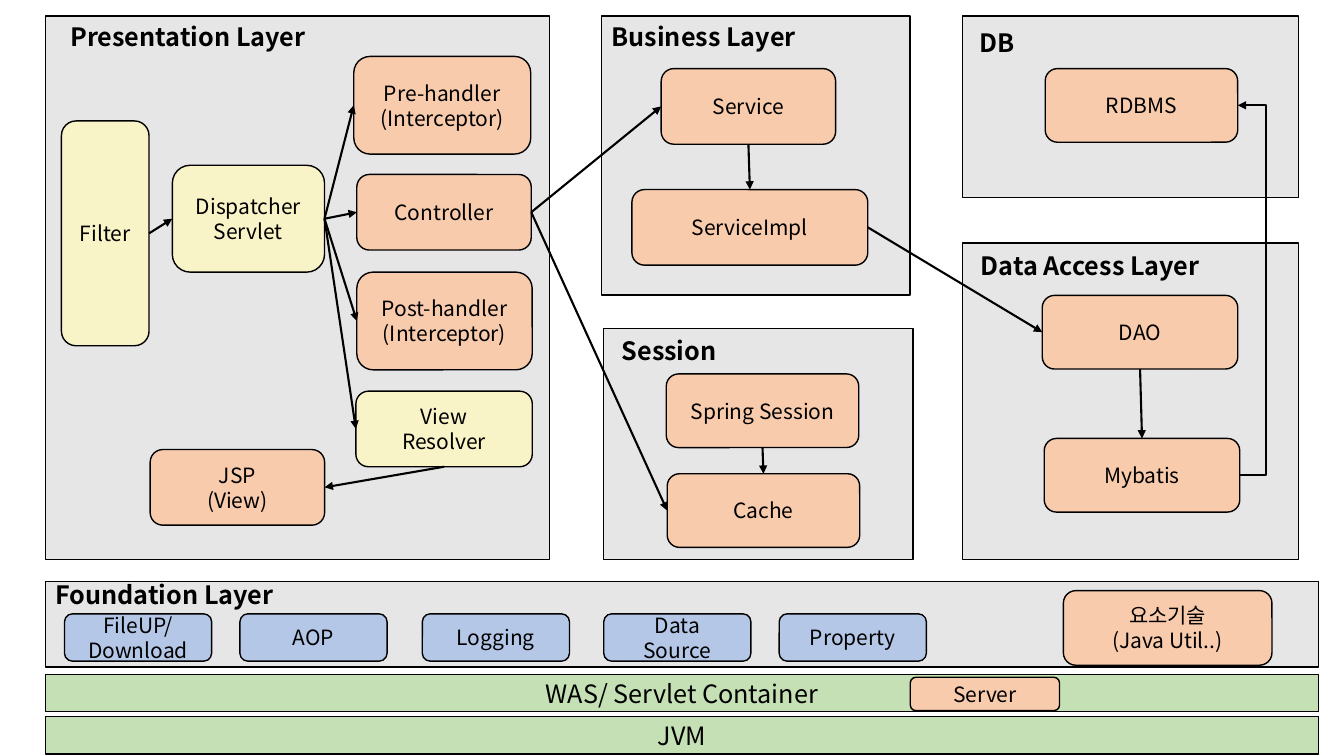
from dataclasses import dataclass
from typing import NamedTuple

from lxml.etree import SubElement
from pptx import Presentation
from pptx.dml.color import RGBColor
from pptx.enum.shapes import MSO_CONNECTOR, MSO_SHAPE
from pptx.enum.text import MSO_ANCHOR, PP_ALIGN
from pptx.oxml.ns import qn
from pptx.shapes.autoshape import Shape
from pptx.shapes.connector import Connector
from pptx.slide import Slide
from pptx.text.text import TextFrame
from pptx.util import Pt


@dataclass(frozen=True)
class Theme:
    font: str = "Noto Sans CJK KR"
    ink: str = "000000"
    panel: str = "E7E6E6"
    framework: str = "F9F4C7"
    component: str = "F8CBAD"
    utility: str = "B4C7E7"
    platform: str = "C5E0B4"
    title_size: float = 18
    label_size: float = 15
    outline: float = 1
    arrow: float = 1.5


THEME = Theme()
TOP, RIGHT = 11.5, 687.6  # top edge of the layers, left edge of the right column
LEFT, FULL_WIDTH = 32.4, 909.4  # full-width bands
SITE = {"top": 0, "left": 1, "bottom": 2, "right": 3}


class Area(NamedTuple):
    left: float
    top: float
    width: float
    height: float


class Layer(NamedTuple):
    title: str
    area: Area
    title_left: float
    title_top: float


class Node(NamedTuple):
    label: str
    area: Area
    fill: str = THEME.component


class Arrow(NamedTuple):
    source: str
    source_side: str
    target: str
    target_side: str


LAYERS = [
    Layer("Presentation Layer", Area(LEFT, TOP, 360, 388.1), 43.2, TOP),
    Layer("Business Layer", Area(429.8, TOP, 220.3, 199.4), 429.8, TOP),
    Layer("Data Access Layer", Area(RIGHT, 173.5, 239.8, 226.1), 693.4, 175),
    Layer("DB", Area(RIGHT, TOP, 239.8, 129.6), 692.6, 15.8),
    Layer("Session", Area(431.3, 234.7, 221, 164.9), 437, 236.2),
    Layer("Foundation Layer", Area(LEFT, 415.4, FULL_WIDTH, 61.2), LEFT, 410.4),
]

BANDS = [
    Node("WAS/ Servlet Container", Area(LEFT, 481.7, FULL_WIDTH, 26.6), THEME.platform),
    Node("JVM", Area(LEFT, 511.9, FULL_WIDTH, 26.6), THEME.platform),
]

NODES = {
    "filter": Node("Filter", Area(43.9, 86.4, 62.6, 160.6), THEME.framework),
    "dispatcher": Node("Dispatcher\nServlet", Area(123.1, 118.1, 108.7, 76.3), THEME.framework),
    "pre": Node("Pre-handler\n(Interceptor)", Area(252.7, 40.3, 126.4, 69.8)),
    "controller": Node("Controller", Area(254.9, 124.6, 124.6, 54)),
    "post": Node("Post-handler\n(Interceptor)", Area(254.9, 194.4, 125.3, 69.8)),
    "resolver": Node("View\nResolver", Area(254.2, 279.4, 126, 54), THEME.framework),
    "jsp": Node("JSP\n(View)", Area(107.3, 321.1, 124.6, 54)),
    "service": Node("Service", Area(472.3, 49, 124.6, 54)),
    "impl": Node("ServiceImpl", Area(451.4, 135.4, 168.5, 54)),
    "dao": Node("DAO", Area(744.5, 211, 139.7, 52.6)),
    "mapper": Node("Mybatis", Area(745.9, 313.2, 139.7, 52.6)),
    "database": Node("RDBMS", Area(746.6, 49, 137.5, 52.6)),
    "session": Node("Spring Session", Area(475.9, 267.1, 137.5, 52.6)),
    "cache": Node("Cache", Area(476.6, 338.4, 137.5, 52.6)),
    "util": Node("요소기술\n(Java Util..)", Area(759.6, 421.9, 149, 53.3)),
    "server": Node("Server", Area(650.2, 483.8, 106.6, 23.8)),
}

UTILITIES = {
    "FileUP/\nDownload": 46.1,
    "AOP": 171.4,
    "Logging": 301.7,
    "Data\nSource": 431.3,
    "Property": 556.6,
}

ARROWS = [
    Arrow("filter", "right", "dispatcher", "left"),
    *(Arrow("dispatcher", "right", name, "left") for name in ("pre", "controller", "post", "resolver")),
    Arrow("resolver", "bottom", "jsp", "right"),
    Arrow("controller", "right", "service", "left"),
    Arrow("controller", "right", "cache", "left"),
    Arrow("service", "bottom", "impl", "top"),
    Arrow("impl", "right", "dao", "left"),
    Arrow("dao", "bottom", "mapper", "top"),
    Arrow("session", "bottom", "cache", "top"),
]


def style_text(frame: TextFrame, size: float, bold: bool, align: PP_ALIGN) -> None:
    for para in frame.paragraphs:
        para.alignment = align
        for span in para.runs:
            span.font.size, span.font.bold, span.font.name = Pt(size), bold, THEME.font
            span.font.color.rgb = RGBColor.from_string(THEME.ink)
            SubElement(span.font._element, qn("a:ea"), typeface=THEME.font)


def add_box(page: Slide, kind: MSO_SHAPE, node: Node, size: float) -> Shape:
    box = page.shapes.add_shape(kind, *map(Pt, node.area))
    box.shadow.inherit = False
    box.fill.solid()
    box.fill.fore_color.rgb = RGBColor.from_string(node.fill)
    box.line.color.rgb = RGBColor.from_string(THEME.ink)
    box.line.width = Pt(THEME.outline)
    box.text_frame.text = node.label
    box.text_frame.vertical_anchor = MSO_ANCHOR.MIDDLE
    style_text(box.text_frame, size, False, PP_ALIGN.CENTER)
    return box


def add_layer(page: Slide, layer: Layer) -> None:
    add_box(page, MSO_SHAPE.RECTANGLE, Node("", layer.area, THEME.panel), THEME.title_size)
    title = page.shapes.add_textbox(Pt(layer.title_left), Pt(layer.title_top), Pt(203), Pt(28.8))
    title.text_frame.word_wrap = True
    title.text_frame.text = layer.title
    style_text(title.text_frame, THEME.title_size, True, PP_ALIGN.LEFT)


def style_arrow(arrow: Connector) -> None:
    arrow.line.color.rgb = RGBColor.from_string(THEME.ink)
    arrow.line.width = Pt(THEME.arrow)
    SubElement(arrow.line._get_or_add_ln(), qn("a:tailEnd"), type="triangle")
    SubElement(arrow._element.spPr, qn("a:effectLst"))


def add_arrow(page: Slide, boxes: dict[str, Shape], link: Arrow) -> None:
    arrow = page.shapes.add_connector(MSO_CONNECTOR.STRAIGHT, 0, 0, 0, 0)
    arrow.begin_connect(boxes[link.source], SITE[link.source_side])
    arrow.end_connect(boxes[link.target], SITE[link.target_side])
    style_arrow(arrow)


def add_side_arrow(page: Slide, source: Area, target: Area, lane: float) -> None:
    """Leave and enter on the right, turning at the given lane."""
    start, end = source.left + source.width, target.left + target.width
    arrow = page.shapes.add_connector(
        MSO_CONNECTOR.ELBOW,
        Pt(start), Pt(source.top + source.height / 2),
        Pt(end), Pt(target.top + target.height / 2),
    )
    turn = round((lane - start) / (end - start) * 100000)
    guides = arrow._element.spPr.prstGeom.get_or_add_avLst()
    SubElement(guides, qn("a:gd"), name="adj1", fmla=f"val {turn}")
    style_arrow(arrow)


def main() -> None:
    deck = Presentation()
    deck.slide_width, deck.slide_height = Pt(960), Pt(540)
    page = deck.slides.add_slide(deck.slide_layouts[6])

    # Layers and platform bands
    for layer in LAYERS:
        add_layer(page, layer)
    for band in BANDS:
        add_box(page, MSO_SHAPE.RECTANGLE, band, THEME.title_size)

    # Components and shared utilities
    boxes = {
        name: add_box(page, MSO_SHAPE.ROUNDED_RECTANGLE, node, THEME.label_size)
        for name, node in NODES.items()
    }
    for label, left in UTILITIES.items():
        utility = Node(label, Area(left, 438.5, 105.1, 33.8), THEME.utility)
        add_box(page, MSO_SHAPE.ROUNDED_RECTANGLE, utility, THEME.label_size)

    # Request flow
    for link in ARROWS:
        add_arrow(page, boxes, link)
    add_side_arrow(page, NODES["mapper"].area, NODES["database"].area, lane=904.3)

    deck.save("out.pptx")


if __name__ == "__main__":
    main()
